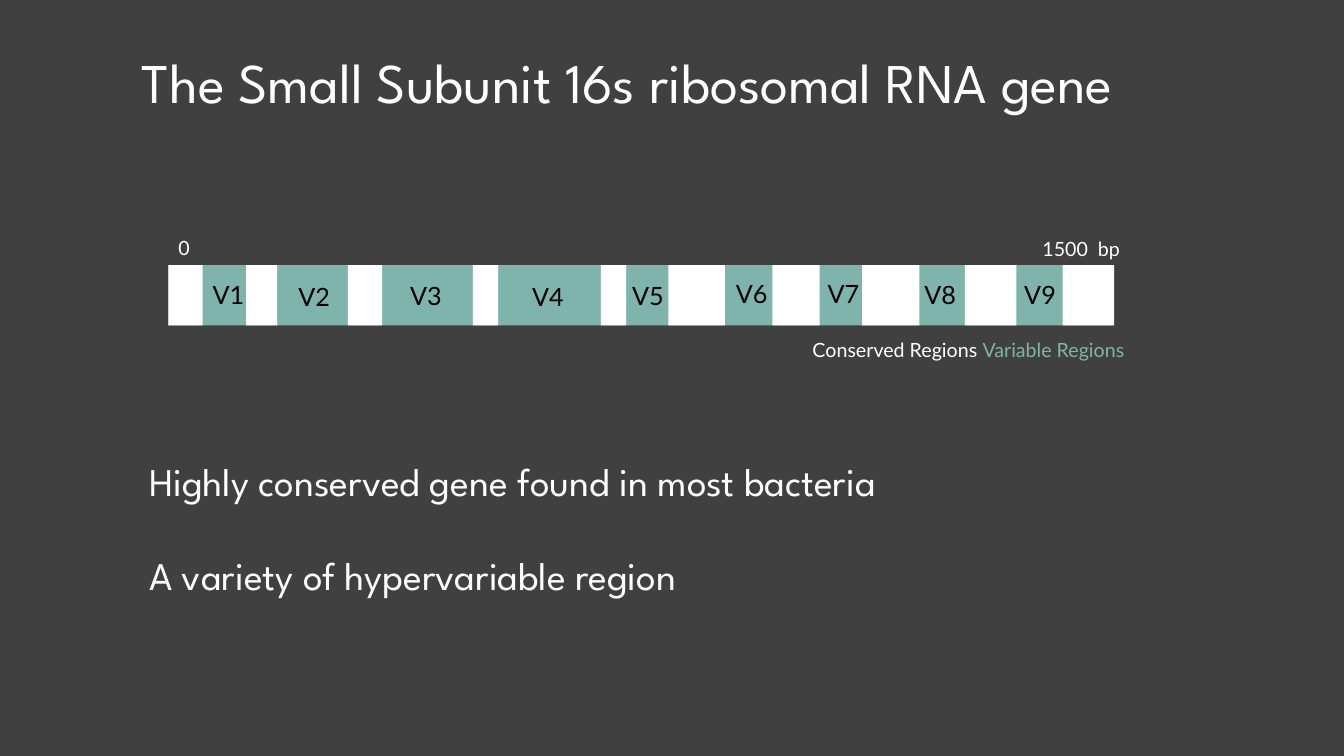
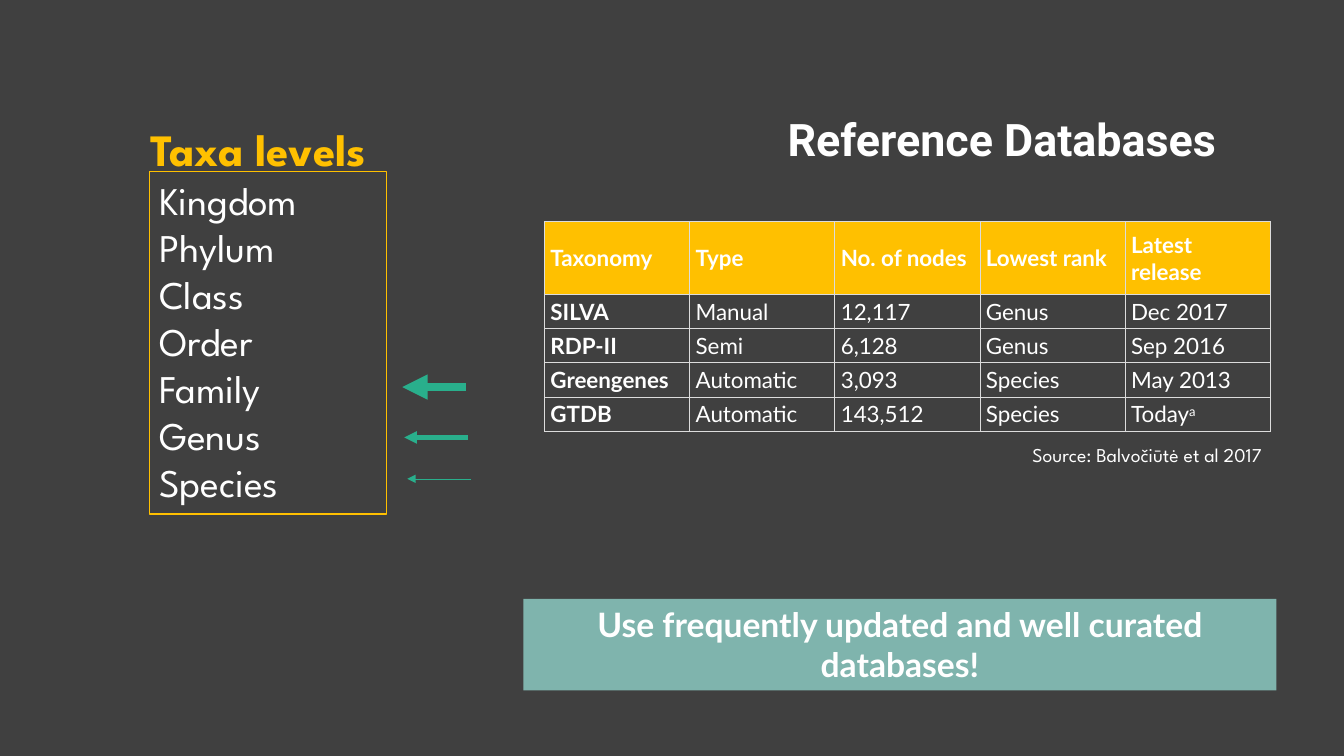
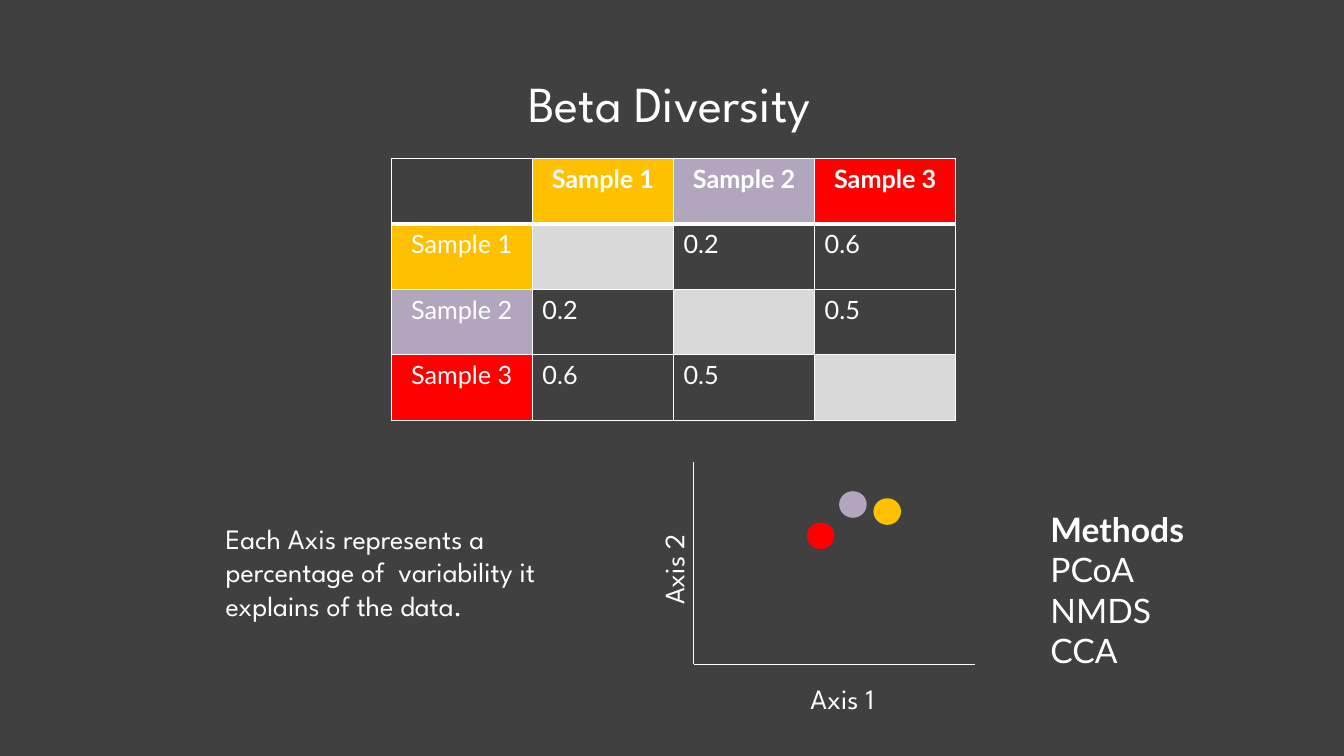
"""Build three slides on 16S sequencing, reference databases and beta diversity."""
from lxml.etree import SubElement
from pptx import Presentation
from pptx.dml.color import RGBColor
from pptx.enum.shapes import MSO_CONNECTOR, MSO_SHAPE
from pptx.enum.text import MSO_ANCHOR, MSO_AUTO_SIZE, PP_ALIGN
from pptx.oxml.ns import qn
from pptx.util import Emu, Pt

SCALE = 9144
WIDTH, HEIGHT = 1333, 750

CHARCOAL = RGBColor(0x40, 0x40, 0x40)
WHITE = RGBColor(0xFF, 0xFF, 0xFF)
BLACK = RGBColor(0, 0, 0)
TEAL = RGBColor(0x7F, 0xB4, 0xAD)
GREEN = RGBColor(0x29, 0xAF, 0x8C)
AMBER = RGBColor(0xFF, 0xC0, 0x00)
MAUVE = RGBColor(0xB1, 0xA6, 0xBD)
RED = RGBColor(0xFF, 0, 0)
SILVER = RGBColor(0xD9, 0xD9, 0xD9)
GRID = RGBColor(0xDC, 0xDC, 0xDC)

SPARTAN, LATO, ROBOTO = "League Spartan", "Lato", "Roboto"
LEFT, CENTER = PP_ALIGN.LEFT, PP_ALIGN.CENTER

GENE_BAR = (167, 263, 937, 60)
CONSERVED = [(167, 34), (244, 31), (345, 34), (469, 25), (596, 25),
             (663, 56), (766, 47), (855, 57), (957, 51), (1054, 51)]
VARIABLE = [(201, 272), (286, 274), (397, 273), (518, 274), (617, 273),
            (720, 271), (811, 271), (907, 272), (1006, 272)]
GENE_FACTS = ["Highly conserved gene found in most bacteria",
              "A variety of hypervariable region"]
LEGEND = [("Conserved Regions ", {}), ("Variable Regions", {"color": TEAL})]
SCALE_ENDS = [("0", (167, 229, 32, 34)), ("1500  bp", (1024, 230, 101, 34))]

TAXA = ["Kingdom", "Phylum", "Class", "Order", "Family", "Genus", "Species"]
RANK_ARROWS = [(462, 384, 6), (464, 434, 3), (467, 475, 0.25)]
ARROW_LENGTH = 63
DATABASES = [
    ["Taxonomy", "Type", "No. of nodes", "Lowest rank", "Latest release"],
    ["SILVA", "Manual", "12,117", "Genus", "Dec 2017"],
    ["RDP-II", "Semi", "6,128", "Genus", "Sep 2016"],
    ["Greengenes", "Automatic", "3,093", "Species", "May 2013"],
    ["GTDB", "Automatic", "143,512", "Species",
     [("Today", {}), ("a", {"baseline": 30000})]],
]

SAMPLES = [("Sample 1", AMBER), ("Sample 2", MAUVE), ("Sample 3", RED)]
DISTANCES = [["", "0.2", "0.6"], ["0.2", "", "0.5"], ["0.6", "0.5", ""]]
POINTS = [(801, 519, RED), (833, 488, MAUVE), (867, 495, AMBER)]
AXES = [(688, 458, 688, 659), (967, 659, 688, 659)]
METHODS = [[("Methods", {"bold": True})], "PCoA", "NMDS", "CCA"]


def px(*lengths):
    return [Emu(length * SCALE) for length in lengths]


def write(frame, paragraphs, size, font=LATO, color=WHITE, bold=False, align=LEFT, gap=0):
    for index, content in enumerate(paragraphs):
        para = frame.add_paragraph() if index else frame.paragraphs[0]
        para.alignment = align
        if index and gap:
            para.space_before = Pt(gap)
        spans = [(content, {})] if isinstance(content, str) else content
        for text, style in spans:
            span = para.add_run()
            span.text = text
            span.font.name = font
            span.font.size = Pt(size)
            span.font.bold = style.get("bold", bold)
            span.font.color.rgb = style.get("color", color)
            if "baseline" in style:
                span._r.get_or_add_rPr().set("baseline", str(style["baseline"]))


def add_text(page, place, paragraphs, size, wrap=True, **style):
    box = page.shapes.add_textbox(*px(*place))
    box.text_frame.word_wrap = wrap
    box.text_frame.auto_size = MSO_AUTO_SIZE.SHAPE_TO_FIT_TEXT
    write(box.text_frame, paragraphs, size, **style)
    return box


def add_block(page, place, fill=None, line=None, weight=1, kind=MSO_SHAPE.RECTANGLE):
    block = page.shapes.add_shape(kind, *px(*place))
    block.shadow.inherit = False
    if fill is None:
        block.fill.background()
    else:
        block.fill.solid()
        block.fill.fore_color.rgb = fill
    if line is None:
        block.line.fill.background()
    else:
        block.line.color.rgb = line
        block.line.width = Pt(weight)
    block.text_frame.word_wrap = True
    block.text_frame.vertical_anchor = MSO_ANCHOR.TOP
    return block


def add_line(page, ends, color, weight, arrow=False):
    line = page.shapes.add_connector(MSO_CONNECTOR.STRAIGHT, *px(*ends))
    line.line.color.rgb = color
    line.line.width = Pt(weight)
    if arrow:
        SubElement(line.line._get_or_add_ln(), qn("a:tailEnd"), type="triangle")
    SubElement(line._element.spPr, qn("a:effectLst"))


def add_grid(page, place, rows, columns, heights):
    table = page.shapes.add_table(rows, columns, *px(*place)).table
    table.first_row = table.horz_banding = False
    for column in table.columns:
        column.width = px(place[2] // columns)[0]
    for row, height in zip(table.rows, heights):
        row.height = px(height)[0]
    return table


def style_cell(cell, fill, line, weights):
    properties = cell._tc.get_or_add_tcPr()
    for side, weight in zip("LRTB", weights):
        edge = SubElement(properties, qn(f"a:ln{side}"), w=str(Pt(weight)))
        paint = SubElement(edge, qn("a:solidFill"))
        SubElement(paint, qn("a:srgbClr"), val=str(line))
    if fill is None:
        cell.fill.background()
    else:
        cell.fill.solid()
        cell.fill.fore_color.rgb = fill


def add_page(deck):
    page = deck.slides.add_slide(deck.slide_layouts[6])
    page.background.fill.solid()
    page.background.fill.fore_color.rgb = CHARCOAL
    return page


def build_gene(page):
    add_text(page, (1, 42, 1242, 77), ["The Small Subunit 16s ribosomal RNA gene"], 40,
             font=SPARTAN, align=CENTER)
    add_text(page, (138, 449, 1049, 151), GENE_FACTS, 28, font=SPARTAN, gap=33)
    add_block(page, GENE_BAR, TEAL)
    for left, width in CONSERVED:
        add_block(page, (left, GENE_BAR[1], width, GENE_BAR[3]), WHITE)
    for number, (left, top) in enumerate(VARIABLE, 1):
        add_text(page, (left, top, 52, 40), [f"V{number}"], 18, wrap=False, color=BLACK)
    add_text(page, (796, 330, 335, 34), [LEGEND], 14, wrap=False)
    for label, place in SCALE_ENDS:
        add_text(page, place, [label], 14, wrap=False)


def build_databases(page):
    ranks = add_block(page, (148, 170, 235, 340), line=AMBER, weight=0.75)
    write(ranks.text_frame, TAXA, 28, font=SPARTAN)
    add_text(page, (139, 116, 260, 64), ["Taxa levels"], 32, wrap=False,
             font=SPARTAN, color=AMBER, bold=True)
    for right, top, weight in RANK_ARROWS:
        add_line(page, (right, top, right - ARROW_LENGTH, top), GREEN, weight, arrow=True)
    add_text(page, (664, 106, 660, 64), ["Reference Databases"], 32,
             font=ROBOTO, bold=True, align=CENTER)
    table = add_grid(page, (540, 220, 720, 210), 5, 5, [72] + [34] * 4)
    for row, values in enumerate(DATABASES):
        for column, value in enumerate(values):
            cell = table.cell(row, column)
            cell.vertical_anchor = MSO_ANCHOR.MIDDLE
            cell.margin_left, cell.margin_right = px(6, 6)
            cell.margin_top, cell.margin_bottom = px(3, 3)
            style_cell(cell, None if row else AMBER, GRID, [0.5] * 4)
            write(cell.text_frame, [value], 16, bold=row == 0 or column == 0)
    banner = add_block(page, (519, 594, 747, 91), TEAL)
    write(banner.text_frame, ["Use frequently updated and well curated databases!"], 24,
          bold=True, align=CENTER)
    add_text(page, (1014, 434, 319, 34), ["Source: Balvočiūtė et al 2017"], 14, font=SPARTAN)


def build_diversity(page):
    table = add_grid(page, (388, 157, 560, 260), 4, 4, [65] * 4)
    header = [("", None)] + SAMPLES
    rows = [header] + [
        [sample] + [(value, None if value else SILVER) for value in values]
        for sample, values in zip(SAMPLES, DISTANCES)]
    for row, cells in enumerate(rows):
        for column, (value, fill) in enumerate(cells):
            cell = table.cell(row, column)
            weights = [1, 1, 3 if row == 1 else 1, 3 if row == 0 else 1]
            style_cell(cell, fill, WHITE, weights)
            if value:
                write(cell.text_frame, [value], 18, bold=row == 0,
                      align=CENTER if fill else LEFT)
    for ends in AXES:
        add_line(page, ends, WHITE, 0.5)
    vertical = add_text(page, (621, 541, 94, 44), ["Axis 2"], 20, wrap=False, font=SPARTAN)
    vertical.rotation = 270
    add_text(page, (794, 671, 94, 44), ["Axis 1"], 20, wrap=False, font=SPARTAN)
    for left, top, color in POINTS:
        add_block(page, (left, top, 26, 25), color, color, kind=MSO_SHAPE.OVAL)
    add_text(page, (214, 512, 376, 111),
             ["Each Axis represents a percentage of  variability it explains of the data."],
             20, font=SPARTAN)
    add_text(page, (1032, 500, 299, 172), METHODS, 24)
    add_text(page, (514, 67, 345, 71), ["Beta Diversity"], 36, wrap=False, font=SPARTAN)


def main():
    deck = Presentation()
    deck.slide_width, deck.slide_height = px(WIDTH, HEIGHT)
    for build in (build_gene, build_databases, build_diversity):
        build(add_page(deck))
    deck.save("out.pptx")


if __name__ == "__main__":
    main()
